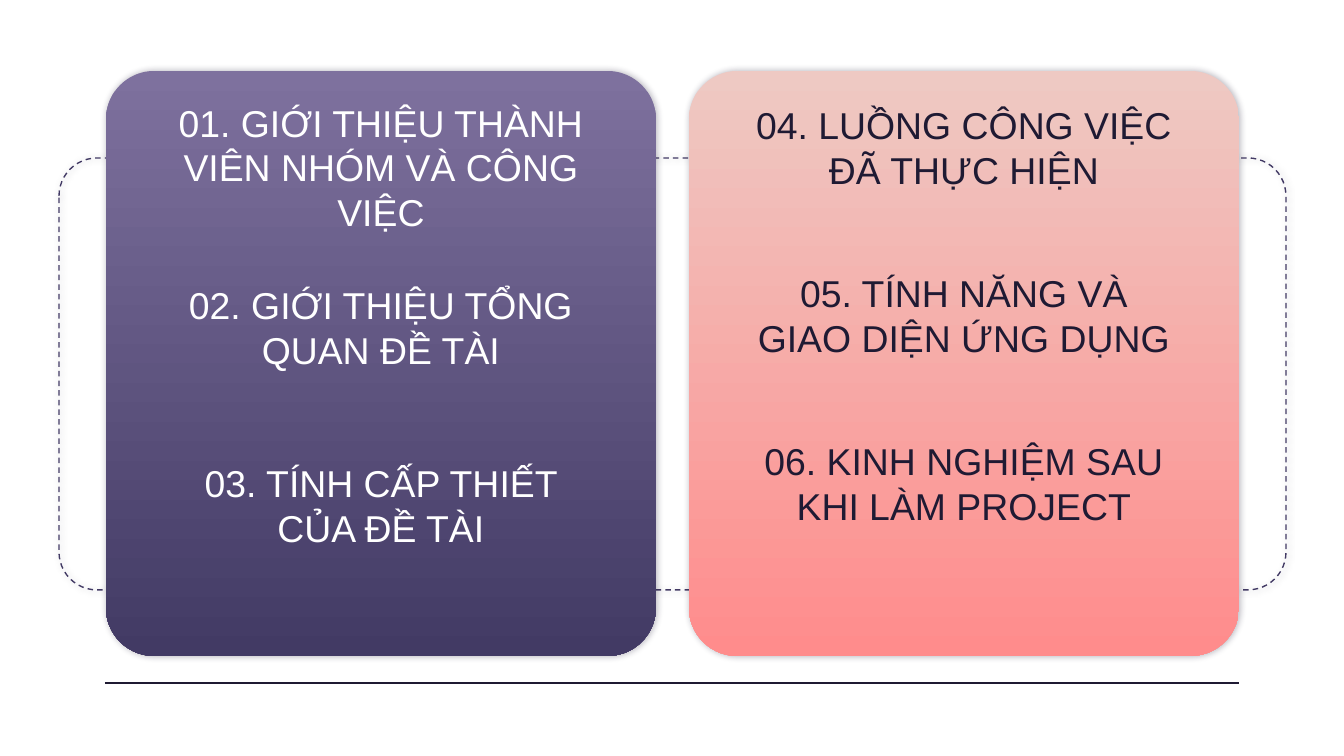
from dataclasses import dataclass

from lxml import etree
from pptx import Presentation
from pptx.dml.color import RGBColor
from pptx.enum.dml import MSO_LINE
from pptx.enum.shapes import MSO_CONNECTOR, MSO_SHAPE
from pptx.enum.text import MSO_ANCHOR, MSO_AUTO_SIZE, PP_ALIGN
from pptx.oxml.ns import qn
from pptx.util import Pt

ROUNDED = MSO_SHAPE.ROUNDED_RECTANGLE
STRAIGHT = MSO_CONNECTOR.STRAIGHT
DASH = MSO_LINE.DASH
CENTER = PP_ALIGN.CENTER
MIDDLE = MSO_ANCHOR.MIDDLE
NO_FIT = MSO_AUTO_SIZE.NONE


@dataclass(frozen=True)
class Theme:
    font: str = "Arial"
    size: float = 20
    rule_width: float = 0.75
    ink: str = "1F1A33"
    white: str = "FFFFFF"
    frame: str = "423A64"
    purple: tuple = ("7E719E", "423A64")
    coral: tuple = ("EEC9C3", "FF8C8C")


THEME = Theme()

CARDS = [
    {
        "left": 106, "gradient": THEME.purple, "ink": THEME.white,
        "topics": [
            ("01. GIỚI THIỆU THÀNH VIÊN NHÓM VÀ CÔNG VIỆC", 167),
            ("02. GIỚI THIỆU TỔNG QUAN ĐỀ TÀI", 327),
            ("03. TÍNH CẤP THIẾT CỦA ĐỀ TÀI", 505),
        ],
    },
    {
        "left": 689, "gradient": THEME.coral, "ink": THEME.ink,
        "topics": [
            ("04. LUỒNG CÔNG VIỆC ĐÃ THỰC HIỆN", 147),
            ("05. TÍNH NĂNG VÀ GIAO DIỆN ỨNG DỤNG", 315),
            ("06. KINH NGHIỆM SAU KHI LÀM PROJECT", 483),
        ],
    },
]

PX = 914400 / 134.4
SLIDE_W, SLIDE_H = 1344, 756
CARD_TOP, CARD_W, CARD_H = 71, 550, 585
TOPIC_W, TOPIC_H, INSET = 452, 52, 13
FRAME = (59, 158, 1227, 432)
RULE = (105, 683, 1239, 683)
CORNER = 0.088


def emu(*lengths):
    return [round(length * PX) for length in lengths]


def color(value):
    return RGBColor.from_string(value)


def add_panel(slide, box):
    panel = slide.shapes.add_shape(ROUNDED, *emu(*box))
    panel.adjustments[0] = CORNER
    panel.shadow.inherit = False
    effects = panel._element.spPr.find(qn("a:effectLst"))
    shadow = etree.SubElement(
        effects, qn("a:outerShdw"), blurRad=str(Pt(3.4)), dist=str(Pt(0.8)),
        dir="540000", algn="bl", rotWithShape="0")
    tint = etree.SubElement(shadow, qn("a:srgbClr"), val=THEME.ink)
    etree.SubElement(tint, qn("a:alpha"), val="30000")
    return panel


def add_frame(slide):
    frame = add_panel(slide, FRAME)
    frame.fill.background()
    frame.line.color.rgb = color(THEME.frame)
    frame.line.width = Pt(THEME.rule_width)
    frame.line.dash_style = DASH


def add_rule(slide):
    rule = slide.shapes.add_connector(STRAIGHT, *emu(*RULE))
    rule.line.color.rgb = color(THEME.ink)
    rule.line.width = Pt(THEME.rule_width)
    etree.SubElement(rule._element.spPr, qn("a:effectLst"))


def add_card(slide, card):
    panel = add_panel(slide, (card["left"], CARD_TOP, CARD_W, CARD_H))
    panel.line.fill.background()
    panel.fill.gradient()
    panel.fill.gradient_angle = 270
    for stop, tone in zip(panel.fill.gradient_stops, card["gradient"]):
        stop.color.rgb = color(tone)


def write_topic(holder, card, topic, middle):
    left = card["left"] + (CARD_W - TOPIC_W) // 2
    holder.left, holder.top, holder.width, holder.height = emu(
        left, middle - TOPIC_H // 2, TOPIC_W, TOPIC_H)
    frame = holder.text_frame
    frame.word_wrap = True
    frame.auto_size = NO_FIT
    frame.vertical_anchor = MIDDLE
    (frame.margin_left, frame.margin_top,
     frame.margin_right, frame.margin_bottom) = emu(*[INSET] * 4)
    paragraph = frame.paragraphs[0]
    paragraph.alignment = CENTER
    run = paragraph.add_run()
    run.text = topic
    run.font.name = THEME.font
    run.font.size = Pt(THEME.size)
    run.font.color.rgb = color(card["ink"])


def main():
    deck = Presentation()
    deck.slide_width, deck.slide_height = emu(SLIDE_W, SLIDE_H)
    slide = deck.slides.add_slide(deck.slide_layouts[5])
    title = slide.shapes.title

    add_rule(slide)
    add_frame(slide)
    for card in CARDS:
        add_card(slide, card)
    title._element.getparent().append(title._element)

    for card in CARDS:
        for topic, middle in card["topics"]:
            first = card is CARDS[0] and topic == card["topics"][0][0]
            holder = title if first else slide.shapes.add_textbox(0, 0, 0, 0)
            write_topic(holder, card, topic, middle)

    deck.save("out.pptx")


if __name__ == "__main__":
    main()
